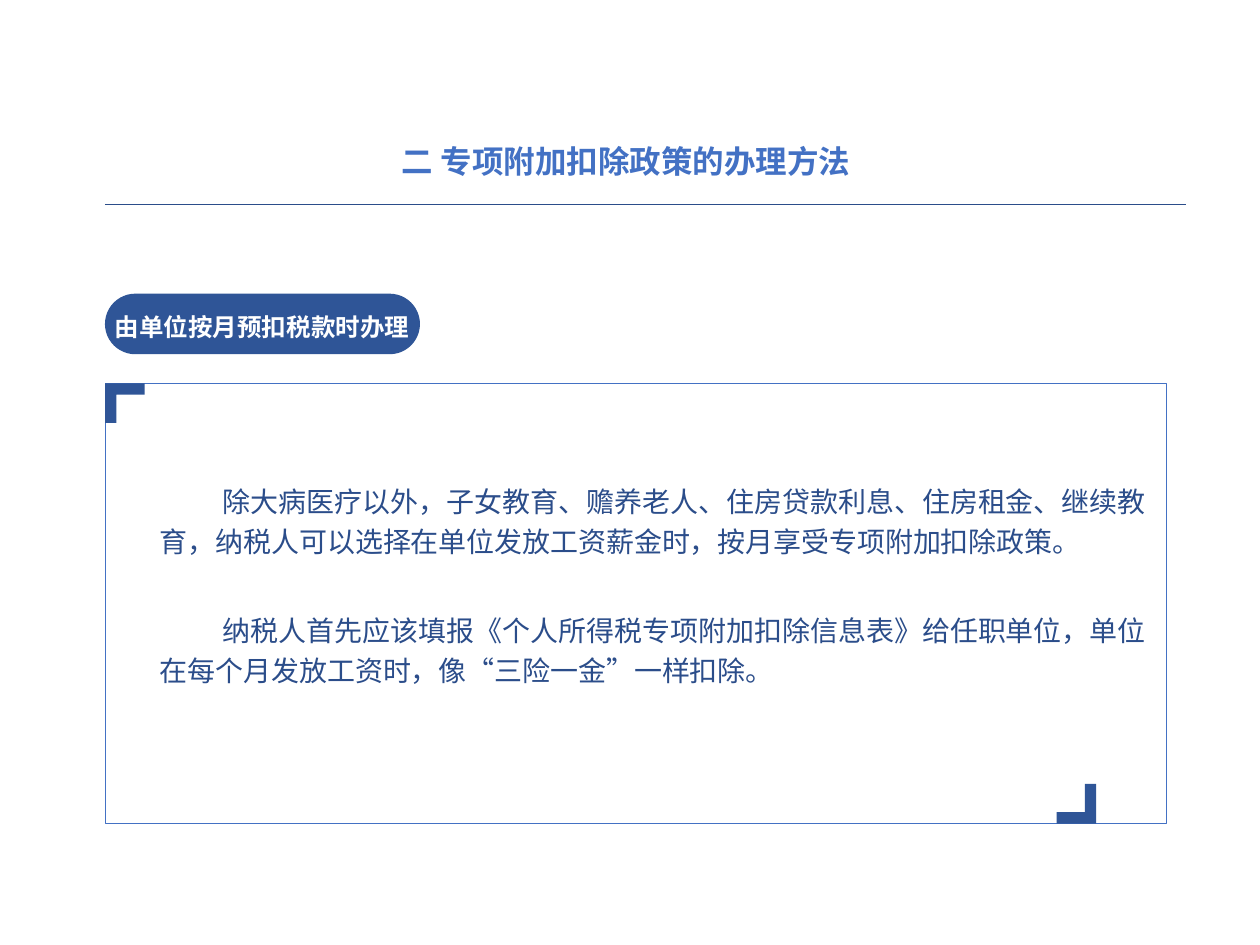
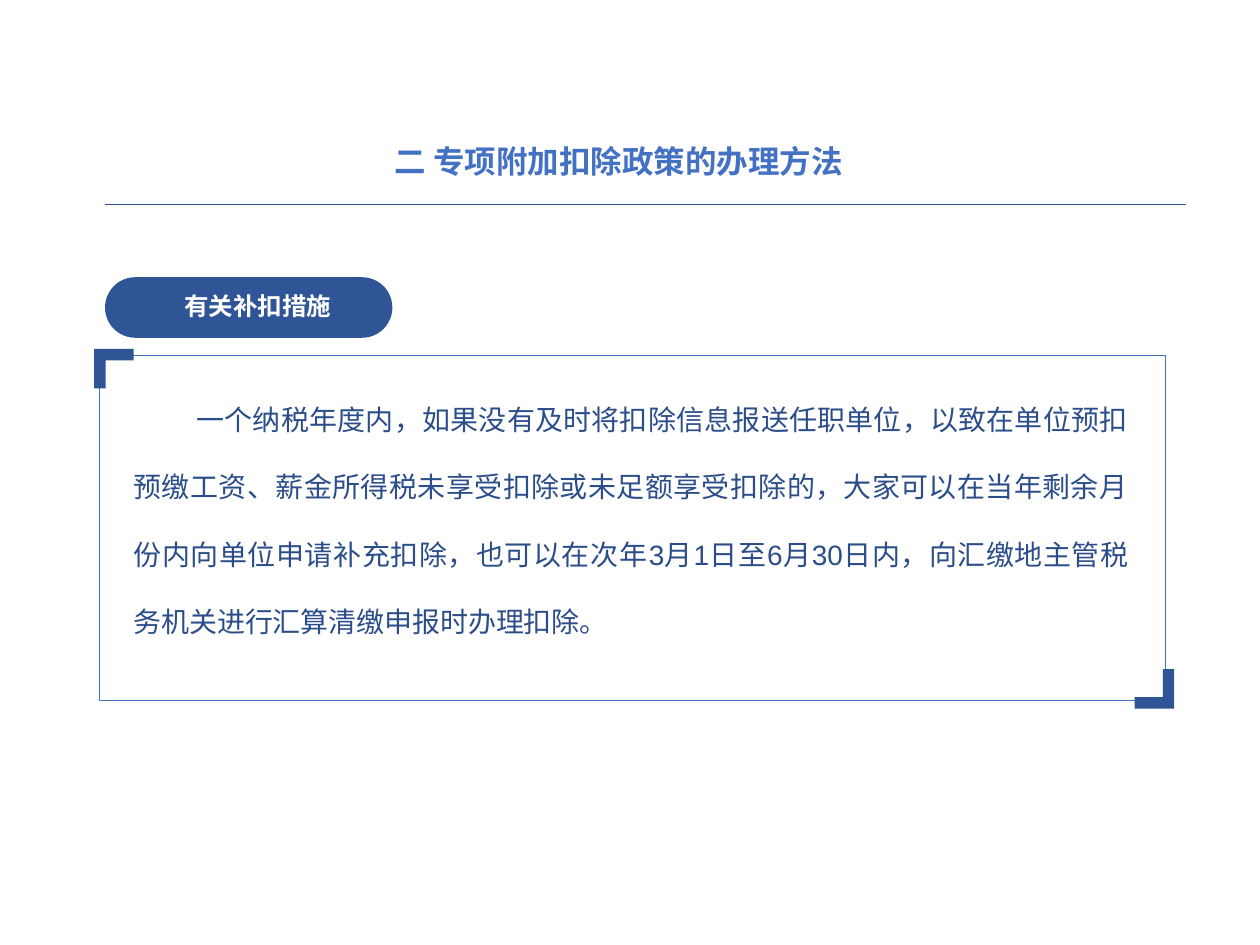
from lxml import etree
from pptx import Presentation
from pptx.dml.color import RGBColor
from pptx.enum.lang import MSO_LANGUAGE_ID
from pptx.enum.shapes import MSO_CONNECTOR, MSO_SHAPE
from pptx.enum.text import MSO_ANCHOR, PP_ALIGN
from pptx.oxml.ns import qn
from pptx.util import Pt

LEFT, CENTER, JUSTIFY = PP_ALIGN.LEFT, PP_ALIGN.CENTER, PP_ALIGN.JUSTIFY
TOP, MIDDLE = MSO_ANCHOR.TOP, MSO_ANCHOR.MIDDLE
RECT, ROUNDED = MSO_SHAPE.RECTANGLE, MSO_SHAPE.ROUNDED_RECTANGLE
STRAIGHT = MSO_CONNECTOR.STRAIGHT
CHINESE = MSO_LANGUAGE_ID.SIMPLIFIED_CHINESE

# Shared look
CJK = "Noto Sans CJK SC"
NAVY, DARK, BLUE, WHITE = "2F5597", "2B4D8A", "4371C4", "FFFFFF"
TITLE = "二 专项附加扣除政策的办理方法"
TITLE_FONT = {"name": CJK, "size": Pt(18), "bold": True}
PILL_FONT = {"name": CJK, "size": Pt(14), "bold": True}
BODY_FONT = {"name": "Arial", "size": Pt(16)}
ARM, THICK = 22.6, 6.5  # corner bracket

# Boxes are left, top, width, height; corners are the outer bracket points
SLIDES = [
    {
        "title": (229.7, 77, 297.4, 29.5),
        "pill": (60, 167.8, 180, 34.6),
        "label": "由单位按月预扣税款时办理",
        "label_box": (35.3, 179.3, 229, 17.3),
        "frame": (60, 219, 606.2, 251.3),
        "corners": ((60, 219), (626.4, 470.6)),
        "body_box": (91.4, 272.8, 564, 163.5),
        "spacing": 1.2,
        "body": [
            "除大病医疗以外，子女教育、赡养老人、住房贷款利息、住房租金、继续教育，"
            "纳税人可以选择在单位发放工资薪金时，按月享受专项附加扣除政策。",
            "纳税人首先应该填报《个人所得税专项附加扣除信息表》给任职单位，"
            "单位在每个月发放工资时，像“三险一金”一样扣除。",
        ],
    },
    {
        "title": (225.4, 77, 302.4, 29.5),
        "pill": (60, 158.4, 164.2, 34.6),
        "label": "有关补扣措施",
        "label_box": (31, 163.4, 232.6, 24.5),
        "frame": (56.9, 203, 609.1, 197.3),
        "corners": ((53.8, 199.4), (671, 404.9)),
        "body_box": (76.3, 211, 568.8, 154.8),
        "spacing": 2,
        "body": [
            "一个纳税年度内，如果没有及时将扣除信息报送任职单位，以致在单位预扣预缴工资、"
            "薪金所得税未享受扣除或未足额享受扣除的，大家可以在当年剩余月份内向单位申请补充扣除，"
            "也可以在次年3月1日至6月30日内，向汇缴地主管税务机关进行汇算清缴申报时办理扣除。",
        ],
    },
]


def paint(shape, fill=None, line=None):
    shape.shadow.inherit = False
    for part, color in ((shape.fill, fill), (shape.line.fill, line)):
        if color:
            part.solid()
            part.fore_color.rgb = RGBColor.from_string(color)
        else:
            part.background()


def add_text(s, box, paragraphs, font, color, align, anchor, spacing=1.0, indent=0):
    tf = s.shapes.add_textbox(*map(Pt, box)).text_frame
    frame_format = {"word_wrap": True, "vertical_anchor": anchor, "margin_left": 0,
                    "margin_right": 0, "margin_top": 0, "margin_bottom": 0}
    for name, value in frame_format.items():
        setattr(tf, name, value)
    for i, text in enumerate(paragraphs):
        p = tf.add_paragraph() if i else tf.paragraphs[0]
        p.alignment, p.line_spacing = align, spacing
        p.space_before = Pt(28 if i else 0)
        if indent:
            p._p.get_or_add_pPr().set("indent", str(Pt(indent)))
        r = p.add_run()
        r.text = text
        for name, value in {**font, "language_id": CHINESE}.items():
            setattr(r.font, name, value)
        r.font.color.rgb = RGBColor.from_string(color)
        etree.SubElement(r._r.get_or_add_rPr(), qn("a:ea")).set("typeface", CJK)


prs = Presentation()
prs.slide_width, prs.slide_height = Pt(720), Pt(540)

for data in SLIDES:
    s = prs.slides.add_slide(prs.slide_layouts[6])

    # Title and rule
    add_text(s, data["title"], [TITLE], TITLE_FONT, BLUE, LEFT, MIDDLE)
    rule = s.shapes.add_connector(STRAIGHT, Pt(60), Pt(117), Pt(677.5), Pt(117))
    rule.line.color.rgb = RGBColor.from_string(DARK)
    rule.line.width = Pt(0.5)
    etree.SubElement(rule._element.spPr, qn("a:effectLst"))

    # Section pill
    pill = s.shapes.add_shape(ROUNDED, *map(Pt, data["pill"]))
    pill.adjustments[0] = 0.5
    paint(pill, fill=NAVY)
    add_text(s, data["label_box"], [data["label"]], PILL_FONT, WHITE, CENTER, MIDDLE, 0.9)

    # Framed body text
    frame = s.shapes.add_shape(RECT, *map(Pt, data["frame"]))
    paint(frame, line=BLUE)
    frame.line.width = Pt(0.25)
    add_text(s, data["body_box"], data["body"], BODY_FONT, DARK, JUSTIFY, TOP,
             data["spacing"], indent=36)

    # Corner brackets, the second one turned inwards
    for (x, y), turn in zip(data["corners"], (1, -1)):
        a, t = ARM * turn, THICK * turn
        outline = [(x + a, y), (x + a, y + t), (x + t, y + t), (x + t, y + a), (x, y + a)]
        builder = s.shapes.build_freeform(Pt(x), Pt(y))
        builder.add_line_segments([(Pt(px), Pt(py)) for px, py in outline], close=True)
        paint(builder.convert_to_shape(), fill=NAVY)

prs.save("out.pptx")
